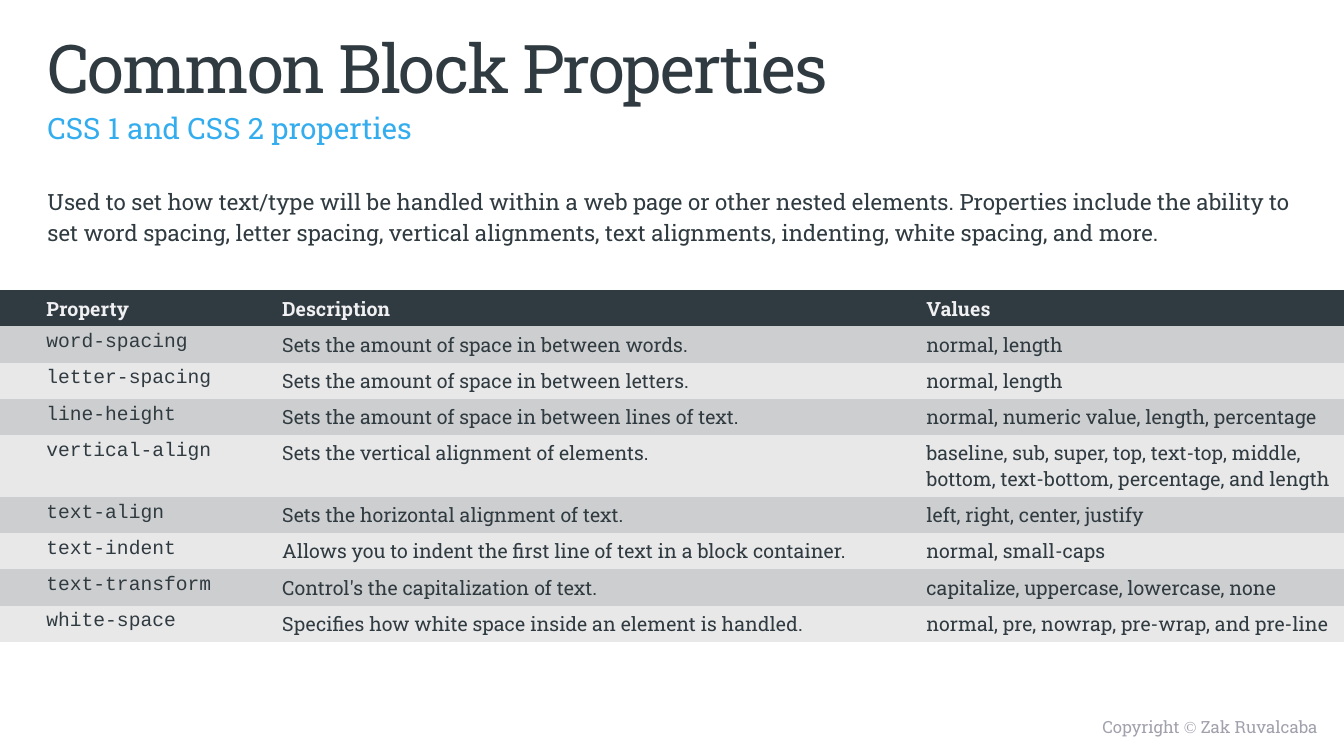
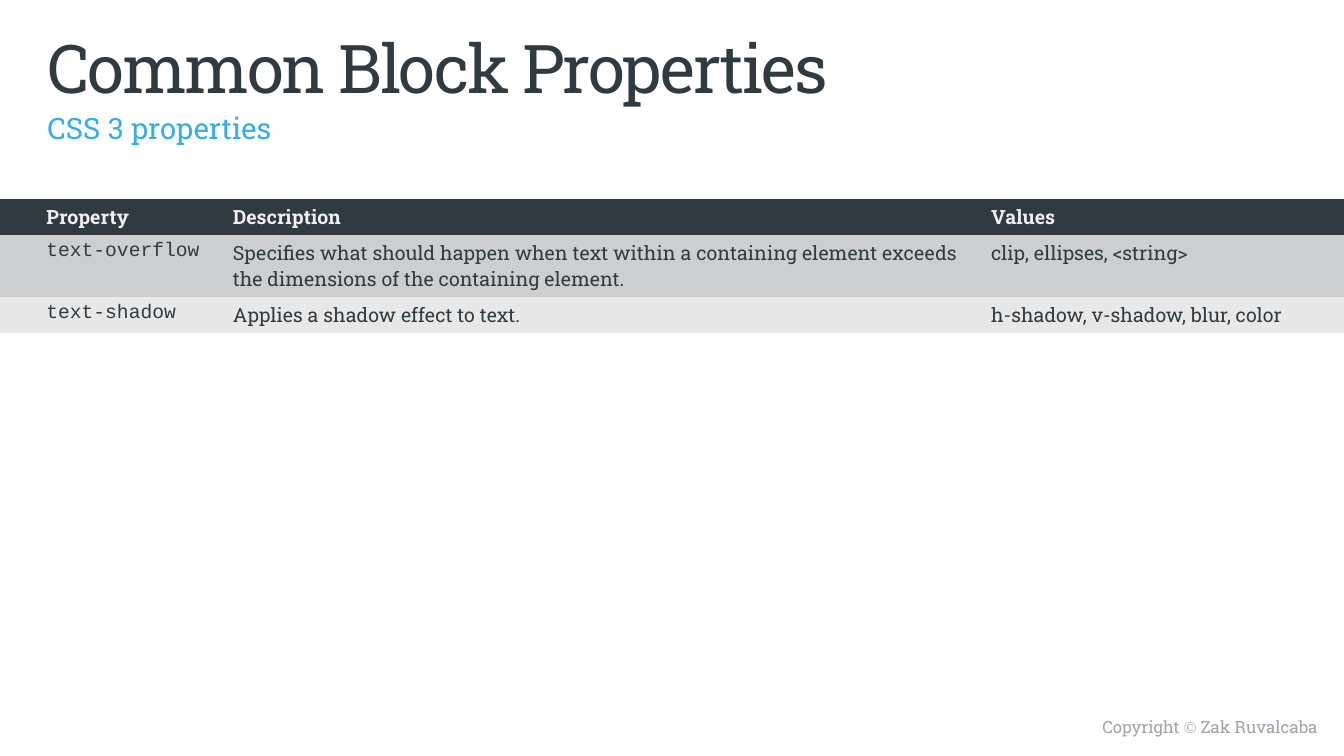
from pptx import Presentation
from pptx.dml.color import RGBColor
from pptx.enum.text import MSO_ANCHOR, MSO_AUTO_SIZE, PP_ALIGN
from pptx.oxml.ns import qn
from pptx.oxml.xmlchemy import OxmlElement
from pptx.util import Inches, Pt

DARK, BLUE, GREY, LIGHT = "303B41", "34ADEF", "A1A1AD", "F0F0F2"
BANDS = ["E8E8E9", "CDCECF"]
SLAB, MONO, SERIF = "Roboto Slab", "Courier New", "Times New Roman"
NO_GRID = "{2D5ABB26-0587-4C30-8999-92F81FD0307C}"
HEADER = ("Property", "Description", "Values")

SLIDES = [
    {
        "subtitle": "CSS 1 and CSS 2 properties",
        "intro": "Used to set how text/type will be handled within a web page or other nested elements. "
                 "Properties include the ability to set word spacing, letter spacing, vertical alignments, "
                 "text alignments, indenting, white spacing, and more.",
        "top": 38.4,
        "cols": [20.25, 47.93, 31.82],
        "rows": [
            ("word-spacing", "Sets the amount of space in between words.", "normal, length"),
            ("letter-spacing", "Sets the amount of space in between letters.", "normal, length"),
            ("line-height", "Sets the amount of space in between lines of text.",
             "normal, numeric value, length, percentage"),
            ("vertical-align", "Sets the vertical alignment of elements.",
             "baseline, sub, super, top, text-top, middle, bottom, text-bottom, percentage, and length"),
            ("text-align", "Sets the horizontal alignment of text.", "left, right, center, justify"),
            ("text-indent", "Allows you to indent the first line of text in a block container.",
             "normal, small-caps"),
            ("text-transform", "Control's the capitalization of text.",
             "capitalize, uppercase, lowercase, none"),
            ("white-space", "Specifies how white space inside an element is handled.",
             "normal, pre, nowrap, pre-wrap, and pre-line"),
        ],
    },
    {
        "subtitle": "CSS 3 properties",
        "intro": None,
        "top": 26.27,
        "cols": [16.58, 56.41, 27.01],
        "rows": [
            ("text-overflow",
             "Specifies what should happen when text within a containing element exceeds "
             "the dimensions of the containing element.", "clip, ellipses, <string>"),
            ("text-shadow", "Applies a shadow effect to text.", "h-shadow, v-shadow, blur, color"),
        ],
    },
]

prs = Presentation()
prs.slide_width, prs.slide_height = Inches(13.33), Inches(7.5)
COL, ROW = prs.slide_width / 100, prs.slide_height / 100


def place(sp, left, top, width, height):
    sp.left, sp.top = int(left * COL), int(top * ROW)
    sp.width, sp.height = int(width * COL), int(height * ROW)
    tf = sp.text_frame
    tf.word_wrap = True
    tf.auto_size = MSO_AUTO_SIZE.NONE
    tf.vertical_anchor = MSO_ANCHOR.TOP
    return tf.paragraphs[0]


def write(p, text, size, color, font=SLAB, bold=False):
    r = p.add_run()
    r.text = text
    r.font.size, r.font.name, r.font.bold = Pt(size), font, bold
    r.font.color.rgb = RGBColor.from_string(color)
    return r


for data in SLIDES:
    s = prs.slides.add_slide(prs.slide_layouts[3 if data["intro"] else 1])

    p = place(s.shapes.title, 2.78, 2.8, 88.2, 10.5)
    p.alignment = PP_ALIGN.LEFT
    r = write(p, "Common Block Properties", 48, DARK)
    r.font._element.set("spc", "-150")

    bodies = [(1, data["subtitle"], 21, BLUE, (2.78, 13.2, 88.2, 5.2))]
    if data["intro"]:
        bodies.append((2, data["intro"], 16, DARK, (2.78, 23.73, 95.1, 12.5)))
    for idx, text, size, color, box in bodies:
        p = place(s.placeholders[idx], *box)
        p.line_spacing = 1.15
        pPr = p._p.get_or_add_pPr()
        pPr.set("marL", "0")
        pPr.set("indent", "0")
        pPr.append(OxmlElement("a:buNone"))
        write(p, text, size, color)

    rows = [HEADER] + data["rows"]
    frame = s.shapes.add_table(len(rows), len(HEADER), 0, int(data["top"] * ROW),
                               prs.slide_width, int(4.7 * ROW) * len(rows))
    table = frame.table
    table.first_row = table.horz_banding = False
    table._tbl.tblPr.find(qn("a:tableStyleId")).text = NO_GRID
    for column, width in zip(table.columns, data["cols"]):
        column.width = int(width * COL)
    for i, row in enumerate(rows):
        head = i == 0
        for j, text in enumerate(row):
            cell = table.cell(i, j)
            cell.fill.solid()
            cell.fill.fore_color.rgb = RGBColor.from_string(DARK if head else BANDS[i % 2])
            cell.vertical_anchor = MSO_ANCHOR.MIDDLE if head else MSO_ANCHOR.TOP
            p = cell.text_frame.paragraphs[0]
            if j == 0:
                p._p.get_or_add_pPr().set("marL", str(Inches(0.36)))
            font = MONO if j == 0 and not head else SLAB
            write(p, text, 14, LIGHT if head else DARK, font, head)

    p = place(s.shapes.add_textbox(0, 0, 0, 0), 50.78, 94.13, 48, 4.13)
    p.alignment = PP_ALIGN.RIGHT
    for text, font in [("Copyright ", SLAB), ("© ", SERIF), ("Zak Ruvalcaba", SLAB)]:
        write(p, text, 12, GREY, font)

prs.save("out.pptx")
